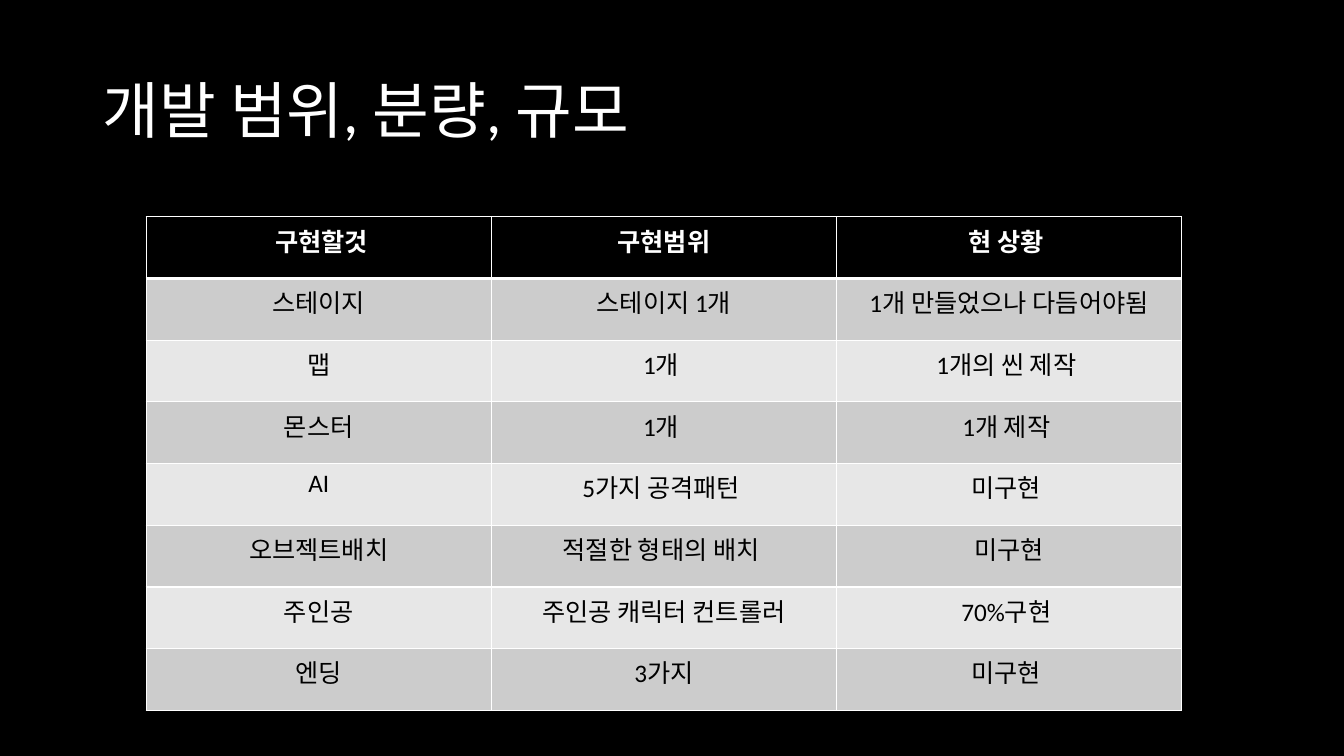
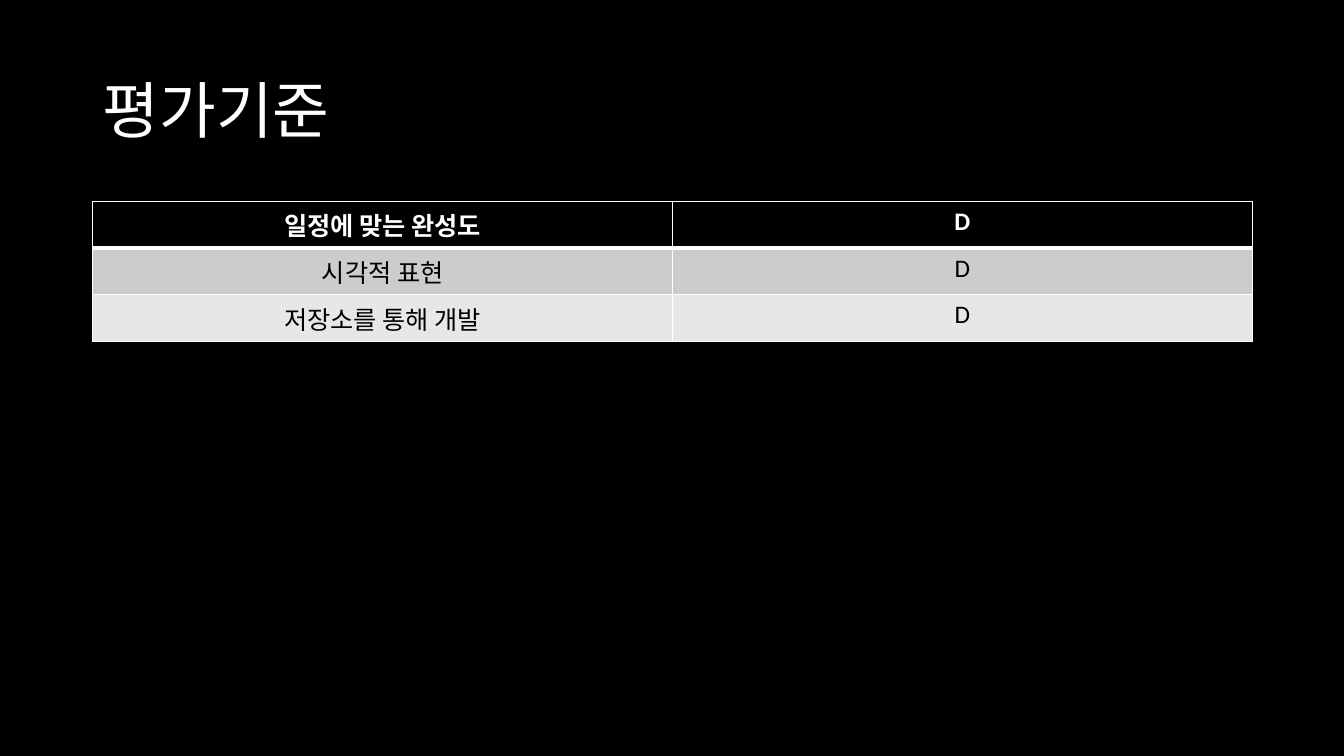
from lxml import etree
from pptx import Presentation
from pptx import util as u
from pptx.dml.color import RGBColor
from pptx.enum import text
from pptx.oxml import ns

COLORS = {"black": "000000", "white": "FFFFFF", "dark_band": "CCCCCC", "light_band": "E7E7E7"}
FONT = "Calibri"
TITLE_ONLY = 5

SCOPE_ROWS = [
    (" 구현할것", "구현범위", "현 상황 "),
    ("스테이지", "스테이지 1개", "1개 만들었으나 다듬어야됨"),
    ("맵", "1개 ", "1개의 씬 제작 "),
    ("몬스터", "1개 ", "1개 제작 "),
    ("AI", "5가지 공격패턴 ", "미구현 "),
    ("오브젝트배치", "적절한 형태의 배치 ", "미구현"),
    ("주인공", "주인공 캐릭터 컨트롤러", "70%구현 "),
    ("엔딩", "3가지", "미구현 "),
]
CRITERIA_ROWS = [
    ("일정에 맞는 완성도", "D"),
    ("시각적 표현", "D"),
    ("저장소를 통해 개발", "D"),
]


def rgb(name):
    """Return the named colour."""
    return RGBColor.from_string(COLORS[name])


def set_text(tf, content, size=18, color="black", bold=False, align=text.PP_ALIGN.CENTER,
             spacing=1.0):
    """Write one formatted paragraph into a text frame."""
    p = tf.paragraphs[0]
    p.alignment = align
    p.line_spacing = spacing
    r = p.add_run()
    r.text = content
    r.font.name = FONT
    r.font.size = u.Pt(size)
    r.font.bold = bold
    r.font.color.rgb = rgb(color)


def set_borders(cell, **widths):
    """Draw white cell borders; widths in points by side: L, R, T, B."""
    tc_pr = cell._tc.get_or_add_tcPr()
    for side in "LRTB":
        ln = etree.SubElement(tc_pr, ns.qn(f"a:ln{side}"), w=str(u.Pt(widths.get(side, 1))))
        fill = etree.SubElement(ln, ns.qn("a:solidFill"))
        etree.SubElement(fill, ns.qn("a:srgbClr"), val=COLORS["white"])


def add_titled_slide(prs, title):
    """Add a title-only slide with the shared title style."""
    s = prs.slides.add_slide(prs.slide_layouts[TITLE_ONLY])
    sp = s.shapes.title
    sp.left, sp.top = u.Inches(0.92), u.Inches(0.4)
    sp.width, sp.height = u.Inches(11.5), u.Inches(1.45)
    tf = sp.text_frame
    tf.vertical_anchor = text.MSO_ANCHOR.MIDDLE
    tf.auto_size = text.MSO_AUTO_SIZE.NONE
    set_text(tf, title, size=44, color="white", align=text.PP_ALIGN.LEFT, spacing=0.9)
    return s


def add_banded_table(s, rows, left, top, width, height):
    """Add a table with a black header and alternating grey rows."""
    frame = s.shapes.add_table(len(rows), len(rows[0]), u.Inches(left), u.Inches(top),
                               u.Inches(width), u.Inches(height))
    for i, row in enumerate(rows):
        header = i == 0
        band = "black" if header else ("light_band", "dark_band")[i % 2]
        for j, content in enumerate(row):
            cell = frame.table.cell(i, j)
            set_borders(cell, T=3 if i == 1 else 1, B=3 if header else 1)
            cell.fill.solid()
            cell.fill.fore_color.rgb = rgb(band)
            set_text(cell.text_frame, content, color="white" if header else "black", bold=header)


def main():
    """Build and save the presentation."""
    prs = Presentation()
    prs.slide_width, prs.slide_height = u.Inches(13.33), u.Inches(7.5)
    background = prs.slide_master.background.fill
    background.solid()
    background.fore_color.rgb = rgb("black")

    s = add_titled_slide(prs, "개발 범위, 분량, 규모 ")
    add_banded_table(s, SCOPE_ROWS, 1.45, 2.15, 10.27, 4.9)

    s = add_titled_slide(prs, "평가기준 ")
    add_banded_table(s, CRITERIA_ROWS, 0.92, 2, 11.5, 1.22)

    prs.save("out.pptx")


main()
